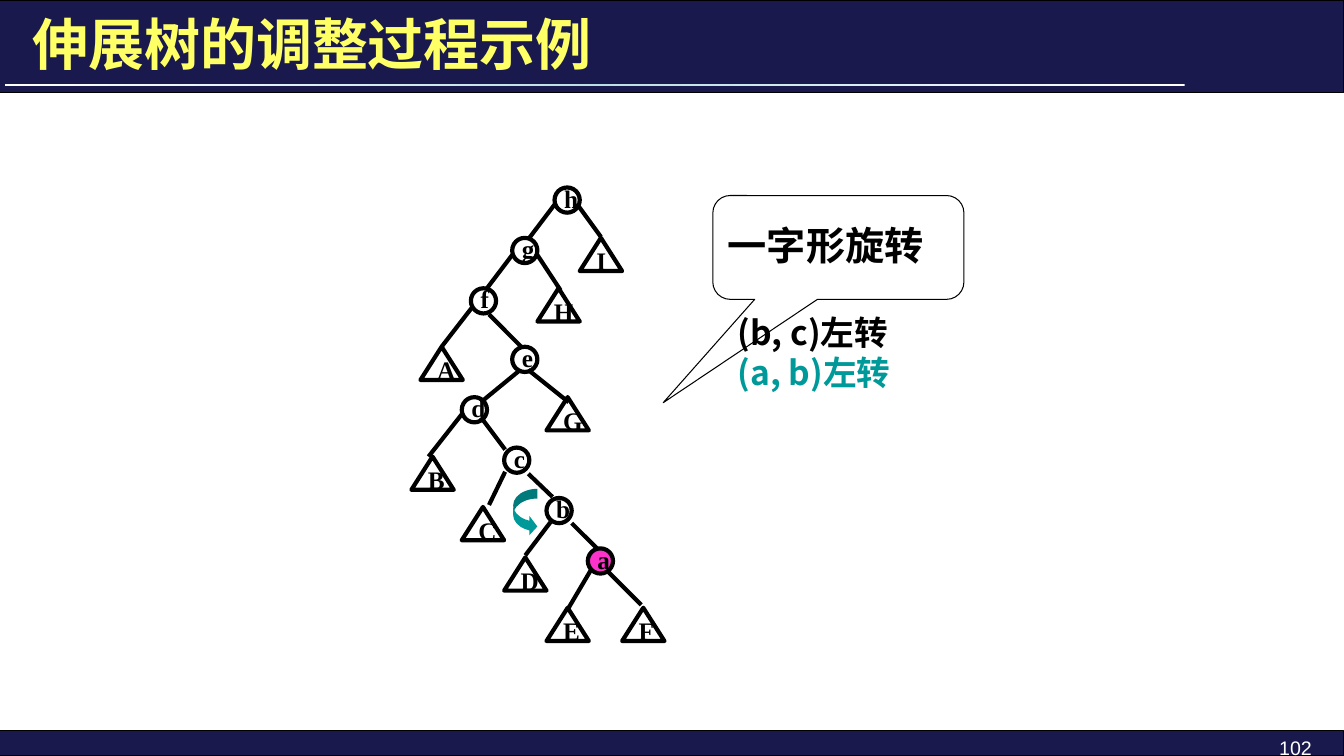
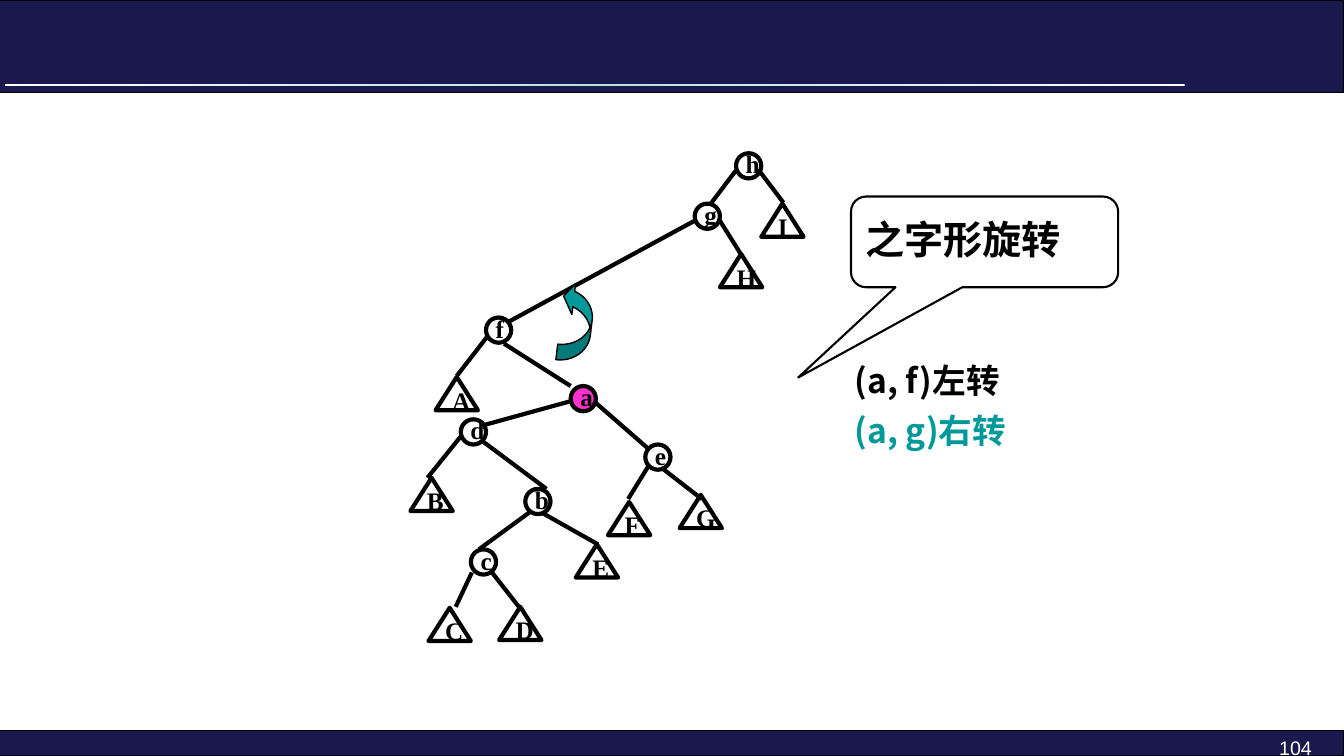
import copy

import lxml.etree
import pptx
import pptx.dml.color
import pptx.enum.shapes
import pptx.enum.text
import pptx.oxml.ns
import pptx.util

Inches = pptx.util.Inches
Pt = pptx.util.Pt
RGBColor = pptx.dml.color.RGBColor
SHAPE = pptx.enum.shapes.MSO_SHAPE
ALIGN = pptx.enum.text.PP_ALIGN
ANCHOR = pptx.enum.text.MSO_ANCHOR
qn = pptx.oxml.ns.qn

NAVY = RGBColor(0x19, 0x19, 0x4D)
YELLOW = RGBColor(0xFF, 0xFF, 0x66)
PALE_BLUE = RGBColor(0xBB, 0xE0, 0xE3)
TEAL = RGBColor(0x00, 0x99, 0x99)
PINK = RGBColor(0xFF, 0x33, 0xCC)
BLACK = RGBColor(0, 0, 0)
WHITE = RGBColor(0xFF, 0xFF, 0xFF)

SERIF = "Times New Roman"
HAN = "Noto Sans CJK SC"
NODE_SIZE = (0.25, 0.25)
SUBTREE_SIZE = (0.42, 0.33)

# Circles and triangles: label -> left, top; edges: x1, y1, x2, y2
SLIDES = [
    {
        "title": "伸展树的调整过程示例",
        "number": "102",
        "nodes": {
            "h": (5.5, 1.86), "g": (5.08, 2.36), "f": (4.67, 2.86),
            "e": (5.08, 3.44), "d": (4.58, 3.94), "c": (5, 4.44),
            "b": (5.42, 4.94), "a": (5.83, 5.44),
        },
        "subtrees": {
            "H": (5.33, 2.86), "I": (5.75, 2.36), "G": (5.42, 3.94),
            "A": (4.17, 3.44), "B": (4.08, 4.53), "C": (4.58, 5.03),
            "D": (5, 5.53), "E": (5.42, 6.03), "F": (6.17, 6.03),
        },
        "edges": [
            (5.5, 2.03, 5.25, 2.36), (5.08, 2.53, 4.83, 2.86),
            (4.69, 3.04, 4.38, 3.44), (4.85, 3.12, 5.17, 3.44),
            (5.16, 3.67, 4.77, 3.99), (5.24, 3.67, 5.64, 3.99),
            (5.72, 2.02, 5.96, 2.35), (5.33, 2.53, 5.56, 2.88),
            (4.77, 4.14, 5.01, 4.46), (5.24, 4.7, 5.48, 4.93),
            (5.67, 5.19, 5.92, 5.44), (6.03, 5.67, 6.36, 6),
            (4.58, 4.11, 4.25, 4.53), (5.01, 4.68, 4.85, 5.01),
            (5.46, 5.18, 5.21, 5.51), (5.87, 5.64, 5.64, 6.03),
        ],
        "callout": ("一字形旋转", (7.07, 1.94, 2.49, 1.03), 0.75),
        "steps": [
            ((7.22, 3.04, 1.97, 0.51), [("(b, c)左转", BLACK)]),
            ((7.22, 3.44, 1.97, 0.51), [("(a, b)左转", TEAL)]),
        ],
        "arrow": (SHAPE.CURVED_RIGHT_ARROW, (5.09, 4.85, 0.24, 0.47),
                  (0.401, 0.803, 0.333), 0, None),
    },
    {
        "title": None,
        "number": "104",
        "nodes": {
            "h": (7.3, 1.52), "g": (6.89, 2.02), "f": (4.82, 3.15),
            "e": (6.4, 4.41), "d": (4.57, 4.16), "c": (4.67, 5.45),
            "b": (5.21, 4.85), "a": (5.66, 3.83),
        },
        "subtrees": {
            "H": (7.14, 2.52), "I": (7.55, 2.02), "G": (6.74, 4.91),
            "A": (4.32, 3.74), "B": (4.07, 4.74), "C": (4.25, 6.03),
            "D": (4.95, 6.02), "E": (5.71, 5.4), "F": (6.03, 4.98),
        },
        "edges": [
            (7.3, 1.69, 7.05, 2.02), (6.89, 2.19, 5.03, 3.2),
            (4.84, 3.33, 4.53, 3.73), (5, 3.41, 5.66, 3.83),
            (6.56, 4.64, 6.96, 4.95), (7.52, 1.68, 7.77, 2.01),
            (7.14, 2.19, 7.36, 2.54), (4.79, 4.22, 5.66, 3.98),
            (4.75, 5.45, 5.27, 5.07), (5.42, 4.85, 4.79, 4.38),
            (6.44, 4.61, 6.23, 4.95), (4.57, 4.33, 4.24, 4.74),
            (4.68, 5.68, 4.52, 6.02), (4.88, 5.68, 5.17, 6.05),
            (5.38, 5.09, 5.93, 5.4), (5.89, 3.98, 6.44, 4.46),
        ],
        "callout": ("之字形旋转", (8.44, 1.95, 2.65, 0.9), 1.5),
        "steps": [
            ((8.38, 3.52, 2.2, 1.11),
             [("(a, f)左转", BLACK), ("(a, g)右转", TEAL)]),
        ],
        "arrow": (SHAPE.CURVED_UP_ARROW, (5.32, 3.04, 0.79, 0.31),
                  (0.501, 1.001, 0.333), 277, 1),
    },
]


def add_shape(page, kind, place, fill=None, line_width=None):
    shape = page.shapes.add_shape(kind, *map(Inches, place))
    shape.shadow.inherit = False
    if fill is None:
        shape.fill.background()
    else:
        shape.fill.solid()
        shape.fill.fore_color.rgb = fill
    if line_width is None:
        shape.line.fill.background()
    else:
        shape.line.color.rgb = BLACK
        shape.line.width = Pt(line_width)
    return shape


def add_span(para, text, size, color, font, bold=True, align=ALIGN.LEFT):
    para.alignment = align
    span = para.add_run()
    span.text = text
    span.font.size = Pt(size)
    span.font.bold = bold
    span.font.color.rgb = color
    span.font.name = font
    east_asian = lxml.etree.SubElement(span.font._element, qn("a:ea"))
    east_asian.set("typeface", HAN)


deck = pptx.Presentation()
deck.slide_width = Inches(13.33)
deck.slide_height = Inches(7.5)

for index, content in enumerate(SLIDES):
    layout = deck.slide_layouts[5 if content["title"] else 6]
    page = deck.slides.add_slide(layout)

    # Bands and rule, drawn once and moved to the slide master
    if index == 0:
        footer_band = add_shape(page, SHAPE.RECTANGLE, (0, 7.25, 13.33, 0.25), NAVY, 0.75)
        title_band = add_shape(page, SHAPE.RECTANGLE, (0, 0, 13.33, 0.92), NAVY, 0.75)
        rule = add_shape(page, SHAPE.RECTANGLE, (0.05, 0.83, 11.7, 0.02))
        rule.fill.gradient()
        rule.fill.gradient_angle = 0
        first_stop, last_stop = rule.fill.gradient_stops
        first_stop.color.rgb = PALE_BLUE
        stops = rule.element.xpath(".//a:gsLst")[0]
        stops.insert(1, copy.deepcopy(stops[0]))
        stops[1].set("pos", "50000")
        first_stop.color.rgb = last_stop.color.rgb = WHITE
        first_stop.position, last_stop.position = 0, 1
        master_tree = deck.slide_master.element.cSld.spTree
        for order, part in enumerate((footer_band, title_band, rule)):
            part.element.xpath(".//p:cNvPr")[0].set("id", str(101 + order))
            master_tree.insert(2 + order, part.element)

    # Title
    if content["title"]:
        title = page.shapes.title
        title.left, title.top = Inches(0.22), Inches(0.08)
        title.width, title.height = Inches(11.55), Inches(0.7)
        title.text_frame.vertical_anchor = ANCHOR.MIDDLE
        add_span(title.text_frame.paragraphs[0], content["title"], 40, YELLOW, SERIF)

    # Tree nodes and subtrees
    for group, kind, size in (("nodes", SHAPE.OVAL, NODE_SIZE),
                              ("subtrees", SHAPE.ISOSCELES_TRIANGLE, SUBTREE_SIZE)):
        for label, corner in content[group].items():
            fill = PINK if label == "a" else None
            node = add_shape(page, kind, corner + size, fill, 3)
            frame = node.text_frame
            frame.word_wrap = False
            frame.vertical_anchor = ANCHOR.MIDDLE
            frame.margin_left, frame.margin_top = Inches(0.06), Inches(0.01)
            frame.margin_right, frame.margin_bottom = Inches(0.1), Inches(0.05)
            add_span(frame.paragraphs[0], label, 18, BLACK, SERIF)

    # Tree edges
    for ends in content["edges"]:
        edge = page.shapes.add_connector(
            pptx.enum.shapes.MSO_CONNECTOR.STRAIGHT, *map(Inches, ends))
        edge.line.color.rgb = BLACK
        edge.line.width = Pt(3)
        lxml.etree.SubElement(edge.element.spPr, qn("a:effectLst"))

    # Callout naming the rotation
    text, place, line_width = content["callout"]
    callout = add_shape(page, SHAPE.ROUNDED_RECTANGULAR_CALLOUT, place, WHITE, line_width)
    for number, value in enumerate((-0.698, 1.496, 0.167)):
        callout.adjustments[number] = value
    callout.text_frame.vertical_anchor = ANCHOR.MIDDLE
    callout.text_frame.margin_bottom = Inches(0.1)
    add_span(callout.text_frame.paragraphs[0], text, 28, BLACK, HAN)

    # Rotation steps
    for place, lines in content["steps"]:
        box = page.shapes.add_textbox(*map(Inches, place))
        box.text_frame.word_wrap = True
        for number, (text, color) in enumerate(lines):
            if number == 0:
                para = box.text_frame.paragraphs[0]
            else:
                para = box.text_frame.add_paragraph()
                para.space_before = Pt(7)
            add_span(para, text, 24, color, HAN)

    # Rotation arrow
    kind, place, adjustments, rotation, line_width = content["arrow"]
    arrow = add_shape(page, kind, place, TEAL, line_width)
    arrow.rotation = rotation
    for number, value in enumerate(adjustments):
        arrow.adjustments[number] = value

    # Page number
    box = page.shapes.add_textbox(Inches(11.11), Inches(7.25), Inches(2), Inches(0.25))
    box.text_frame.word_wrap = True
    add_span(box.text_frame.paragraphs[0], content["number"], 14, WHITE, "Arial",
             bold=False, align=ALIGN.RIGHT)

deck.save("out.pptx")
